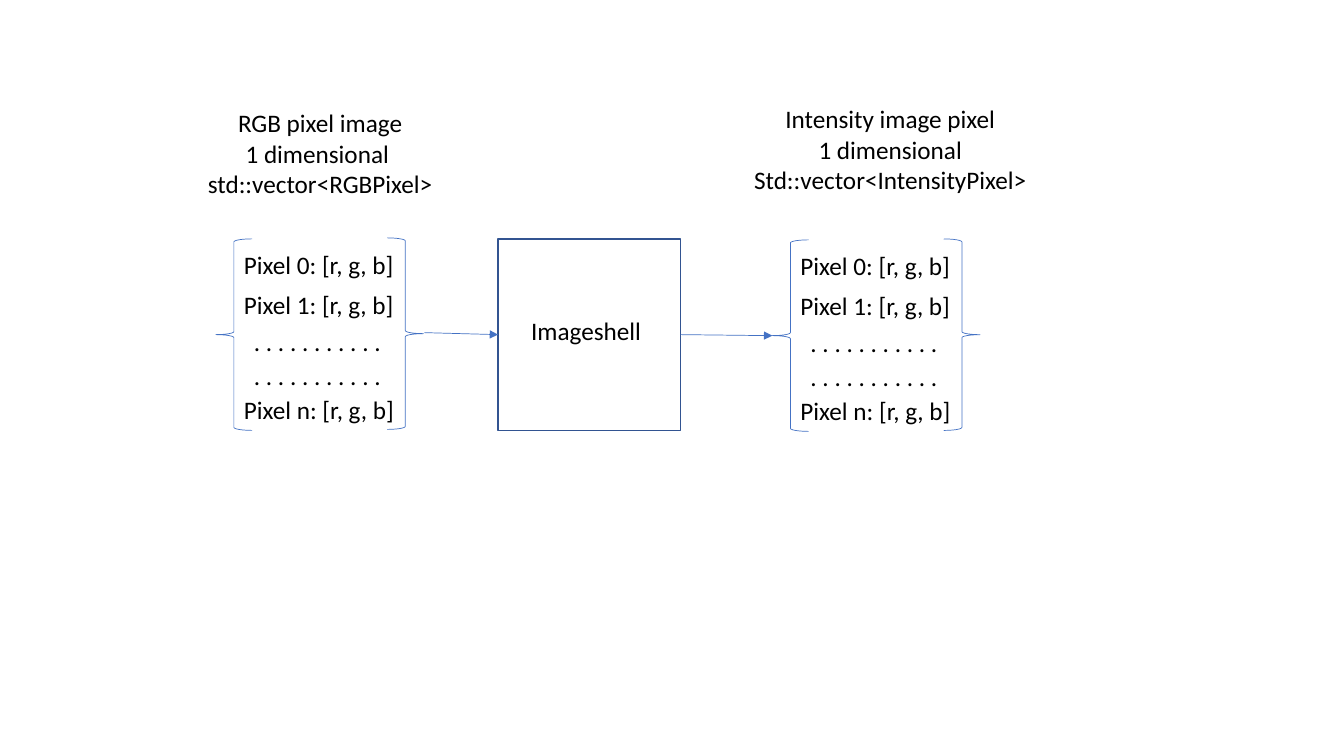
from pptx import Presentation
from pptx import util as u
from pptx.dml.color import RGBColor
from pptx.enum import shapes, text
from pptx.oxml import parse_xml
from pptx.oxml.ns import nsdecls

BLACK = RGBColor(0x00, 0x00, 0x00)
BLUE = RGBColor(0x44, 0x72, 0xC4)
DARK_BLUE = RGBColor(0x32, 0x54, 0x91)
FONT = {"name": "Calibri", "size": u.Pt(18)}
DOTS = ". . . . . . . . . . ."
PIXEL_ROWS = [
    ("Pixel 0: [r, g, b]", 0.18, 0.06, 1.71, False),
    ("Pixel 1: [r, g, b]", 0.18, 0.46, 1.71, False),
    (DOTS, 0.28, 0.83, 1.47, True),
    (DOTS, 0.28, 1.17, 1.47, True),
    ("Pixel n: [r, g, b]", 0.18, 1.5, 1.71, False),
]


def add_label(parent, lines, box, align=text.PP_ALIGN.LEFT, wrap=False):
    """Add a text box with one paragraph for each line."""
    tf = parent.add_textbox(*map(u.Inches, box)).text_frame
    tf.word_wrap = wrap
    tf.text = "\n".join(lines)
    for p in tf.paragraphs:
        p.alignment = align
        p.font.color.rgb = BLACK
        for name, value in FONT.items():
            setattr(p.font, name, value)


def add_outline(parent, kind, box, color, width, rotation=0):
    """Add an unfilled preset shape."""
    sp = parent.add_shape(kind, *map(u.Inches, box))
    sp.shadow.inherit = False
    sp.fill.background()
    sp.line.color.rgb = color
    sp.line.width = u.Pt(width)
    sp.rotation = rotation


def add_pixel_vector(s, x, y):
    """Add a group of pixel rows between two braces at the given corner."""
    parts = s.shapes.add_group_shape().shapes
    for dx, dy, rotation in [(0, 0.01, 0), (1.7, 0, 180)]:
        add_outline(parts, shapes.MSO_SHAPE.LEFT_BRACE, (x + dx, y + dy, 0.36, 1.9),
                    BLUE, 0.5, rotation)
    for label, dx, dy, width, wrap in PIXEL_ROWS:
        add_label(parts, [label], (x + dx, y + dy, width, 0.4), wrap=wrap)


def add_process(s, x, y):
    """Add the processing box and its name at the given corner."""
    add_outline(s.shapes, shapes.MSO_SHAPE.RECTANGLE, (x, y, 1.81, 1.9), DARK_BLUE, 1)
    add_label(s.shapes, ["Imageshell"], (x + 0.23, y + 0.71, 1.3, 0.4))


def add_arrow(s, start, end):
    """Add a thin arrow between two points."""
    line = s.shapes.add_connector(shapes.MSO_CONNECTOR.STRAIGHT,
                                  *map(u.Inches, start + end))
    line.line.color.rgb = BLUE
    line.line.width = u.Pt(0.5)
    line.line._get_or_add_ln().append(
        parse_xml(f'<a:tailEnd {nsdecls("a")} type="triangle"/>'))
    line._element.spPr.append(parse_xml(f'<a:effectLst {nsdecls("a")}/>'))


def main():
    """Build the pixel conversion slide."""
    prs = Presentation()
    prs.slide_width, prs.slide_height = u.Inches(13.33), u.Inches(7.5)
    s = prs.slides.add_slide(prs.slide_layouts[6])
    center = text.PP_ALIGN.CENTER
    add_label(s.shapes, ["RGB pixel image", "1 dimensional \vstd::vector<RGBPixel>"],
              (1.95, 1.02, 2.45, 1.01), center)
    add_label(s.shapes,
              ["Intensity image pixel", "1 dimensional", "Std::vector<IntensityPixel>"],
              (7.33, 0.98, 3, 1.31), center, True)
    add_pixel_vector(s, 2.14, 2.36)
    add_pixel_vector(s, 7.66, 2.37)
    add_process(s, 4.94, 2.37)
    add_arrow(s, (4.21, 3.3), (4.94, 3.32))
    add_arrow(s, (6.75, 3.32), (7.66, 3.33))
    prs.save("out.pptx")


if __name__ == "__main__":
    main()
